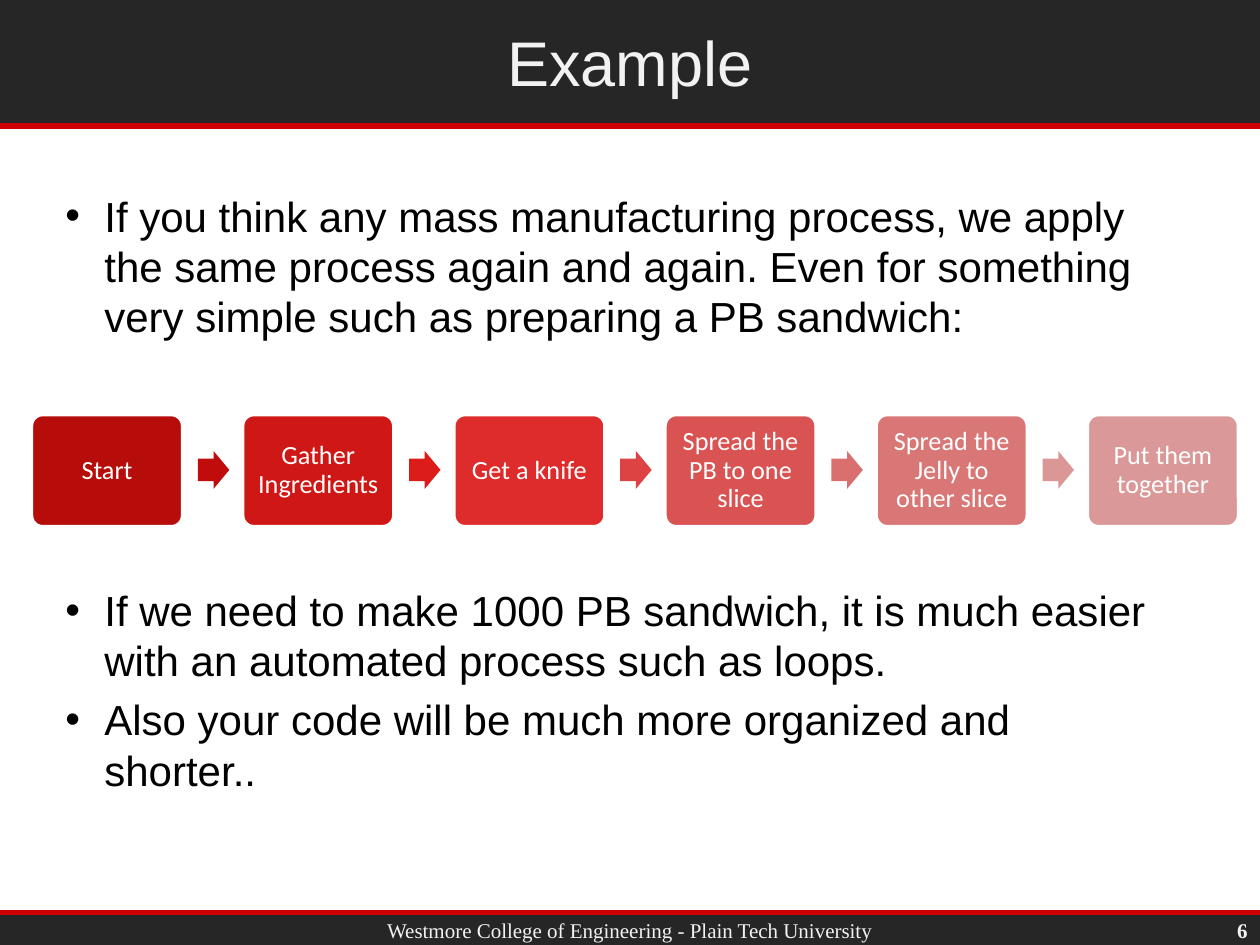
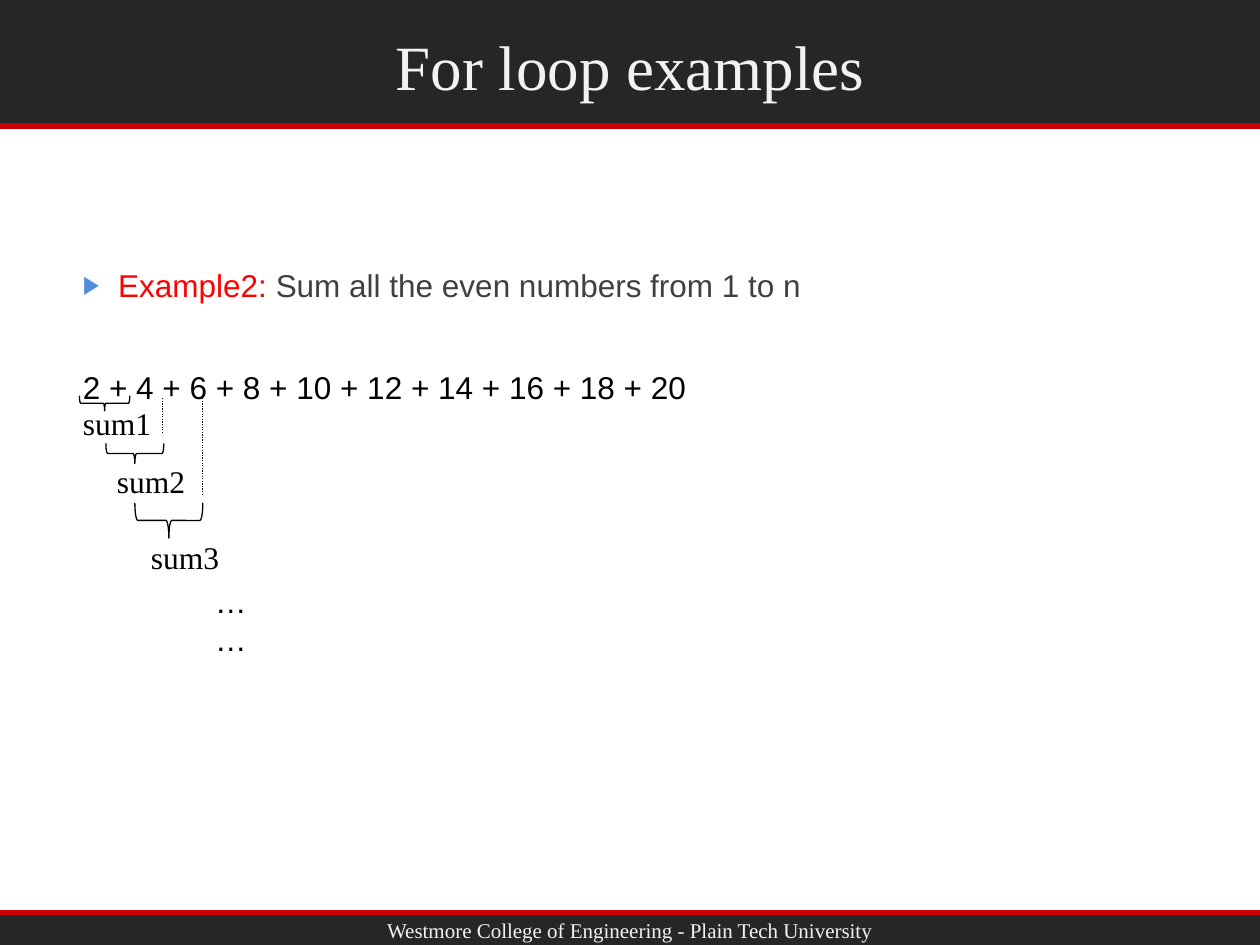
from pptx import Presentation
from pptx.dml.color import RGBColor
from pptx.enum.dml import MSO_LINE
from pptx.enum.shapes import MSO_CONNECTOR, MSO_SHAPE
from pptx.enum.text import MSO_ANCHOR, PP_ALIGN
from pptx.oxml.ns import qn
from pptx.util import Inches, Pt
from lxml.etree import SubElement

CHARCOAL = RGBColor(0x26, 0x26, 0x26)
RED = RGBColor(0xCC, 0x00, 0x00)
OFF_WHITE = RGBColor(0xF2, 0xF2, 0xF2)
WHITE = RGBColor(0xFF, 0xFF, 0xFF)
BLACK = RGBColor(0x00, 0x00, 0x00)
GREY = RGBColor(0x40, 0x40, 0x40)
BRIGHT_RED = RGBColor(0xFF, 0x00, 0x00)
BULLET_BLUE = RGBColor(0x4E, 0x8E, 0xDB)

SANS, SERIF, STEP_FONT = "Arial", "Times New Roman", "Calibri"
FOOTER = "Westmore College of Engineering - Plain Tech University"

# Process steps: label, box colour, colour of the arrow that follows
STEPS = [
    ("Start", "B60D0B", "C00D0B"),
    ("Gather Ingredients", "CF1816", "DB1C1A"),
    ("Get a knife", "DD2C2B", "DC4342"),
    ("Spread the PB to one slice", "D95352", "D96F6E"),
    ("Spread the Jelly to other slice", "D97776", "DB9796"),
    ("Put them together", "DB9898", None),
]
STEP_LEFT, STEP_PITCH = 0.25, 1.676


class Lecture:
    """Holds the shared style and the slide being built."""

    def __init__(self):
        self.deck = Presentation()
        self.deck.slide_width, self.deck.slide_height = Inches(10), Inches(7.5)
        self.page = None

    def new_page(self, title, font, title_top):
        self.page = self.deck.slides.add_slide(self.deck.slide_layouts[6])
        # Footer and title bands, each with a red rule
        for top, height, rule in ((7.24, 0.26, 7.24), (0, 1, 1)):
            self.shape(MSO_SHAPE.RECTANGLE, 0, top, 10, height, CHARCOAL)
            self.line(0, rule, 10, rule, RED, 3)
        for words, face, size, top, height in (
            (FOOTER, SERIF, 12, 7.23, 0.3),
            (title, font, 36, title_top, 0.9),
        ):
            self.text(1.01, top, 7.98, height, [[(words, OFF_WHITE)]], face, size,
                      align=PP_ALIGN.CENTER, anchor=MSO_ANCHOR.MIDDLE)

    def shape(self, kind, left, top, width, height, fill=None, line=None, weight=1):
        shape = self.page.shapes.add_shape(
            kind, Inches(left), Inches(top), Inches(width), Inches(height))
        shape.shadow.inherit = False
        if fill is None:
            shape.fill.background()
        else:
            shape.fill.solid()
            shape.fill.fore_color.rgb = fill
        if line is None:
            shape.line.fill.background()
        else:
            shape.line.color.rgb = line
            shape.line.width = Pt(weight)
        return shape

    def line(self, x1, y1, x2, y2, color, weight, dash=None):
        line = self.page.shapes.add_connector(
            MSO_CONNECTOR.STRAIGHT, Inches(x1), Inches(y1), Inches(x2), Inches(y2))
        line.line.color.rgb = color
        line.line.width = Pt(weight)
        if dash is not None:
            line.line.dash_style = dash
        SubElement(line._element.spPr, qn("a:effectLst"))

    def span(self, para, words, font, size, color, bold=False):
        span = para.add_run()
        span.text = words
        span.font.name, span.font.size, span.font.bold = font, Pt(size), bold
        span.font.color.rgb = color

    def text(self, left, top, width, height, paras, font, size, bold=False,
             align=PP_ALIGN.LEFT, anchor=MSO_ANCHOR.TOP):
        """Each paragraph is a list of (words, colour) pairs."""
        box = self.page.shapes.add_textbox(
            Inches(left), Inches(top), Inches(width), Inches(height))
        frame = box.text_frame
        frame.word_wrap = True
        frame.vertical_anchor = anchor
        for index, spans in enumerate(paras):
            para = frame.add_paragraph() if index else frame.paragraphs[0]
            para.alignment = align
            for words, color in spans:
                self.span(para, words, font, size, color, bold)
        return box

    def bullets(self, box, char, indent, space, color=None, percent=100):
        for para in box.text_frame.paragraphs:
            para.space_before = Pt(space)
            props = para._p.get_or_add_pPr()
            props.set("marL", str(Inches(indent)))
            props.set("indent", str(-Inches(indent)))
            if color is not None:
                holder = SubElement(props, qn("a:buClr"))
                SubElement(holder, qn("a:srgbClr")).set("val", str(color))
            SubElement(props, qn("a:buSzPct")).set("val", str(percent * 1000))
            SubElement(props, qn("a:buFont")).set("typeface", SANS)
            SubElement(props, qn("a:buChar")).set("char", char)

    def step(self, left, label, fill):
        card = self.shape(MSO_SHAPE.ROUNDED_RECTANGLE, left, 3.29, 1.2, 0.89,
                          fill, WHITE, 2)
        card.adjustments[0] = 0.1
        frame = card.text_frame
        frame.word_wrap = True
        frame.vertical_anchor = MSO_ANCHOR.MIDDLE
        frame.margin_left = frame.margin_right = Inches(0.09)
        frame.margin_top = frame.margin_bottom = Inches(0.09)
        para = frame.paragraphs[0]
        para.alignment = PP_ALIGN.CENTER
        para.line_spacing = 0.9
        self.span(para, label, STEP_FONT, 15, WHITE)

    def arrow(self, left, fill):
        arrow = self.shape(MSO_SHAPE.RIGHT_ARROW, left, 3.58, 0.25, 0.3, fill)
        arrow.adjustments[0], arrow.adjustments[1] = 0.6, 0.5

    def brace(self, left, top, width, height):
        brace = self.shape(MSO_SHAPE.RIGHT_BRACE, left, top, width, height,
                           line=BLACK, weight=0.75)
        brace.rotation = 90


def build_process(lecture):
    lecture.new_page("Example", SANS, 0.04)
    # Explanations above and below the process
    for top, height, paras in (
        (1.46, 1.5, ["If you think any mass manufacturing process, we apply the same "
                     "process again and again. Even for something very simple such as "
                     "preparing a PB sandwich:"]),
        (4.59, 2, ["If we need to make 1000 PB sandwich, it is much easier with an "
                   "automated process such as loops.",
                   "Also your code will be much more organized and shorter.."]),
    ):
        box = lecture.text(0.42, top, 8.78, height,
                           [[(words, BLACK)] for words in paras], SANS, 24)
        lecture.bullets(box, "•", 0.31, 4.8)
    # Page number
    lecture.text(9.28, 7.25, 0.72, 0.26, [[("6", OFF_WHITE)]], SERIF, 12, bold=True,
                 align=PP_ALIGN.RIGHT, anchor=MSO_ANCHOR.MIDDLE)
    # Process row
    for index, (label, fill, arrow_fill) in enumerate(STEPS):
        left = STEP_LEFT + index * STEP_PITCH
        lecture.step(left, label, RGBColor.from_string(fill))
        if arrow_fill:
            lecture.arrow(left + 1.32, RGBColor.from_string(arrow_fill))


def build_sums(lecture):
    lecture.new_page("For loop examples", SERIF, 0.07)
    # Task and series
    task = lecture.text(0.56, 2.06, 7.12, 0.4, [[
        ("Example2:", BRIGHT_RED), (" Sum all the even numbers from 1 to n", GREY)]],
        SANS, 18)
    lecture.bullets(task, "▶", 0.28, 7.5, BULLET_BLUE, 80)
    series = " + ".join(str(number) for number in range(2, 21, 2))
    lecture.text(0.56, 2.87, 5.44, 0.4, [[(series, BLACK)]], SANS, 18)
    # Running sums, each under its brace
    for index, (left, top, brace) in enumerate((
        (0.56, 3.16, (0.77, 3, 0.12, 0.4)),
        (0.83, 3.62, (0.99, 3.37, 0.16, 0.46)),
        (1.1, 4.22, (1.2, 3.86, 0.28, 0.54)),
    ), start=1):
        lecture.brace(*brace)
        lecture.text(left, top, 1.1, 0.4, [[(f"sum{index}", BLACK)]], SERIF, 18)
    # Dotted guides from the series to the braces
    for x, bottom in ((1.29, 3.43), (1.61, 3.93)):
        lecture.line(x, 3.16, x, bottom, BLACK, 0.75, MSO_LINE.ROUND_DOT)
    lecture.text(1.61, 4.57, 0.66, 0.71, [[("……", BLACK)]], SANS, 18)


def main():
    lecture = Lecture()
    build_process(lecture)
    build_sums(lecture)
    lecture.deck.save("out.pptx")


if __name__ == "__main__":
    main()
